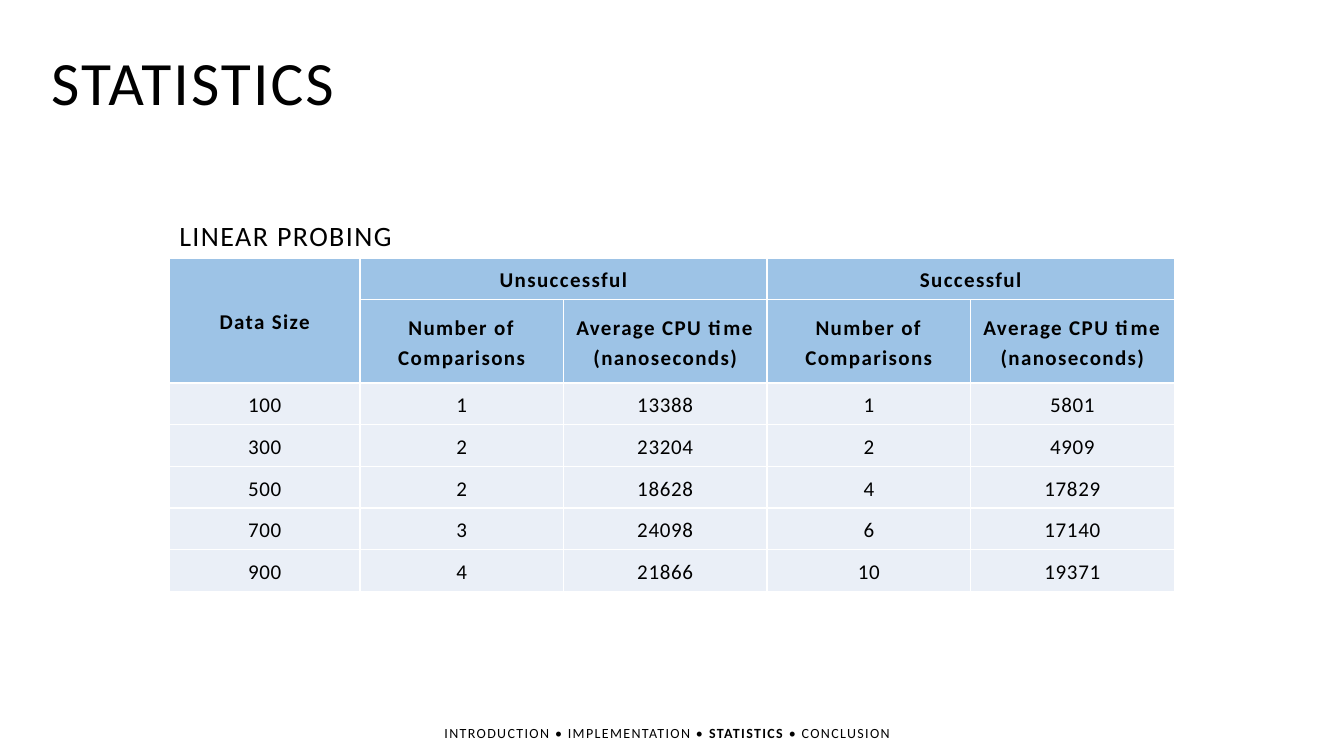
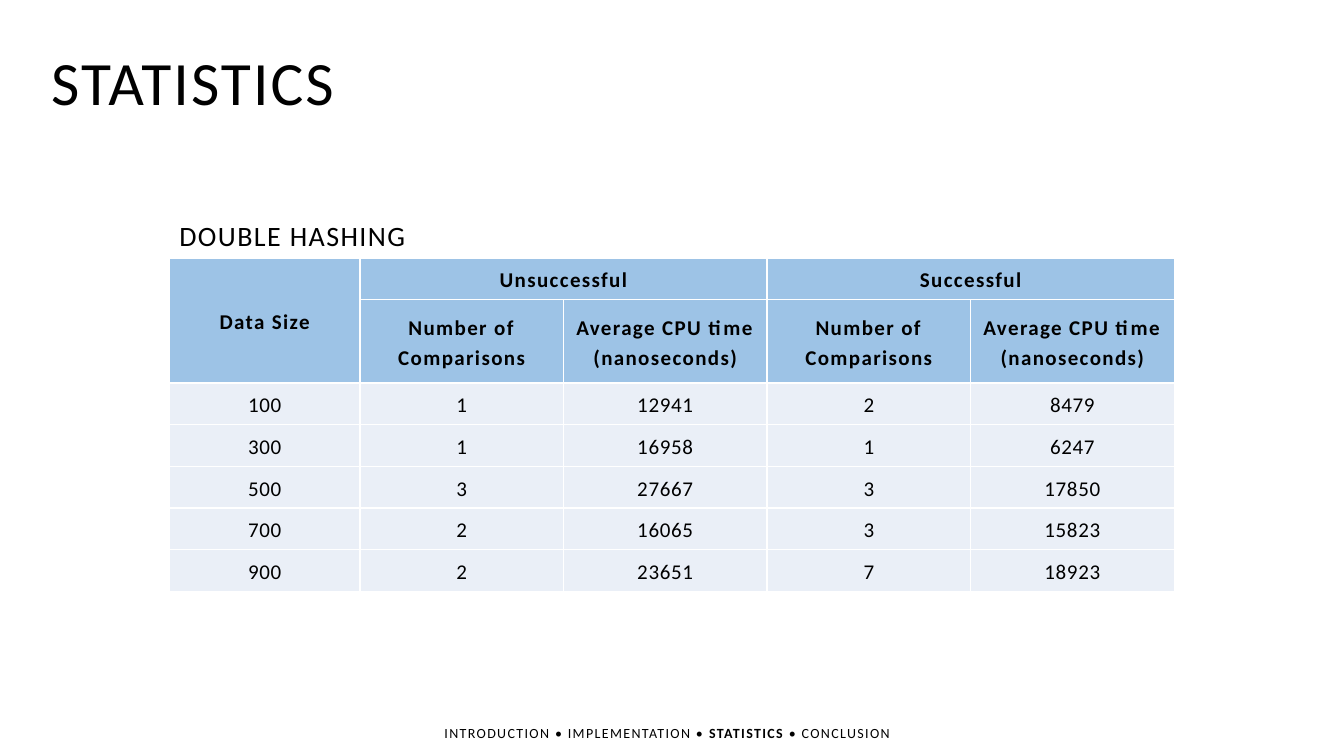
from dataclasses import dataclass

from pptx import Presentation, util as u
from pptx.dml.color import RGBColor
from pptx.enum import text
from pptx.oxml import parse_xml
from pptx.oxml.ns import nsdecls
from pptx.slide import Slide
from pptx.table import _Cell
from pptx.text.text import _Paragraph


@dataclass(frozen=True)
class TextStyle:
    size: float
    spacing: float  # between letters, in points
    bold: bool = False


@dataclass(frozen=True)
class Theme:
    font: str = "Calibri"
    ink: str = "000000"
    header_fill: str = "9DC3E6"
    body_fill: str = "EAEFF7"
    border: str = "FFFFFF"
    border_width: float = 1
    title: TextStyle = TextStyle(44, 1.5)
    caption: TextStyle = TextStyle(20, 1)
    footer: TextStyle = TextStyle(10, 1)
    footer_current: TextStyle = TextStyle(10, 1, True)
    header: TextStyle = TextStyle(15, 1, True)
    body: TextStyle = TextStyle(15, 0.5)


@dataclass(frozen=True)
class Box:
    """A place on the slide, in centimetres."""
    left: float
    top: float
    width: float
    height: float


@dataclass(frozen=True)
class Statistics:
    method: str
    caption_width: float
    rows: list[tuple[int, ...]]


THEME = Theme()
SECTIONS = ["INTRODUCTION", "IMPLEMENTATION", "STATISTICS", "CONCLUSION"]
CURRENT = "STATISTICS"
OUTCOMES = ["Unsuccessful", "Successful"]
MEASURES = ["Number of Comparisons", "Average CPU time (nanoseconds)"]
HEADER_ROWS = 2

TITLE_BOX = Box(1.04, 0.97, 7.77, 2.13)
FOOTER_BOX = Box(10.95, 18.14, 11.96, 0.69)
TABLE_LEFT, TABLE_TOP = 4.27, 6.5
CAPTION_HEIGHT = 1.12
SIZE_COLUMN, MEASURE_COLUMN = 4.8, 5.13
ROW_HEIGHT = 1.05
CELL_MARGIN = 0.18

RESULTS = [
    Statistics("LINEAR PROBING", 5.87, [
        (100, 1, 13388, 1, 5801),
        (300, 2, 23204, 2, 4909),
        (500, 2, 18628, 4, 17829),
        (700, 3, 24098, 6, 17140),
        (900, 4, 21866, 10, 19371),
    ]),
    Statistics("DOUBLE HASHING", 6.22, [
        (100, 1, 12941, 2, 8479),
        (300, 1, 16958, 1, 6247),
        (500, 3, 27667, 3, 17850),
        (700, 2, 16065, 3, 15823),
        (900, 2, 23651, 7, 18923),
    ]),
]


def add_run(paragraph: _Paragraph, words: str, style: TextStyle) -> None:
    run = paragraph.add_run()
    run.text = words
    run.font.name = THEME.font
    run.font.size = u.Pt(style.size)
    run.font.bold = style.bold
    run.font.color.rgb = RGBColor.from_string(THEME.ink)
    run._r.get_or_add_rPr().set("spc", str(round(style.spacing * 100)))


def add_line(slide: Slide, box: Box, runs: list[tuple[str, TextStyle]]) -> None:
    """Add a one-line text box made of styled runs."""
    frame = slide.shapes.add_textbox(
        u.Cm(box.left), u.Cm(box.top), u.Cm(box.width), u.Cm(box.height)).text_frame
    frame.word_wrap = False
    frame.auto_size = text.MSO_AUTO_SIZE.SHAPE_TO_FIT_TEXT
    for words, style in runs:
        add_run(frame.paragraphs[0], words, style)


def add_footer(slide: Slide) -> None:
    runs = []
    for section in SECTIONS:
        if runs:
            runs.append((" • ", THEME.footer))
        style = THEME.footer_current if section == CURRENT else THEME.footer
        runs.append((section, style))
    add_line(slide, FOOTER_BOX, runs)


def format_cell(cell: _Cell, fill: str) -> None:
    properties = cell._tc.get_or_add_tcPr()
    for side in ("lnL", "lnR", "lnT", "lnB"):
        properties.append(parse_xml(
            f'<a:{side} {nsdecls("a")} w="{u.Pt(THEME.border_width)}"><a:solidFill>'
            f'<a:srgbClr val="{THEME.border}"/></a:solidFill></a:{side}>'))
    cell.fill.solid()
    cell.fill.fore_color.rgb = RGBColor.from_string(fill)
    cell.vertical_anchor = text.MSO_ANCHOR.MIDDLE
    cell.margin_left = cell.margin_right = u.Cm(CELL_MARGIN)
    cell.margin_top = cell.margin_bottom = 0


def write_cell(cell: _Cell, words: str, style: TextStyle) -> None:
    paragraph = cell.text_frame.paragraphs[0]
    paragraph.alignment = text.PP_ALIGN.CENTER
    paragraph.line_spacing = 1.15
    paragraph.space_after = u.Pt(10)
    add_run(paragraph, words, style)


def add_statistics_table(slide: Slide, rows: list[tuple[int, ...]]) -> None:
    widths = [SIZE_COLUMN] + [MEASURE_COLUMN] * len(OUTCOMES) * len(MEASURES)
    heights = [ROW_HEIGHT, 2 * ROW_HEIGHT] + [ROW_HEIGHT] * len(rows)
    table = slide.shapes.add_table(
        len(heights), len(widths), u.Cm(TABLE_LEFT), u.Cm(TABLE_TOP),
        u.Cm(sum(widths)), u.Cm(sum(heights))).table
    table.horz_banding = False
    for column, width in zip(table.columns, widths):
        column.width = u.Cm(width)
    for index, (row, height) in enumerate(zip(table.rows, heights)):
        row.height = u.Cm(height)
        fill = THEME.header_fill if index < HEADER_ROWS else THEME.body_fill
        for cell in row.cells:
            format_cell(cell, fill)

    table.cell(0, 0).merge(table.cell(HEADER_ROWS - 1, 0))
    write_cell(table.cell(0, 0), "Data Size", THEME.header)
    for group, outcome in enumerate(OUTCOMES):
        first = 1 + group * len(MEASURES)
        table.cell(0, first).merge(table.cell(0, first + len(MEASURES) - 1))
        write_cell(table.cell(0, first), outcome, THEME.header)
        for column, measure in enumerate(MEASURES, first):
            write_cell(table.cell(1, column), measure, THEME.header)
    for index, values in enumerate(rows, HEADER_ROWS):
        for column, value in enumerate(values):
            write_cell(table.cell(index, column), str(value), THEME.body)


def main() -> None:
    deck = Presentation()
    deck.slide_width, deck.slide_height = u.Cm(33.87), u.Cm(19.05)
    blank = deck.slide_layouts[6]
    for result in RESULTS:
        slide = deck.slides.add_slide(blank)
        add_line(slide, TITLE_BOX, [(CURRENT, THEME.title)])
        add_footer(slide)
        add_statistics_table(slide, result.rows)
        caption_box = Box(TABLE_LEFT, TABLE_TOP - CAPTION_HEIGHT,
                          result.caption_width, CAPTION_HEIGHT)
        add_line(slide, caption_box, [(result.method, THEME.caption)])
    deck.save("out.pptx")


if __name__ == "__main__":
    main()
